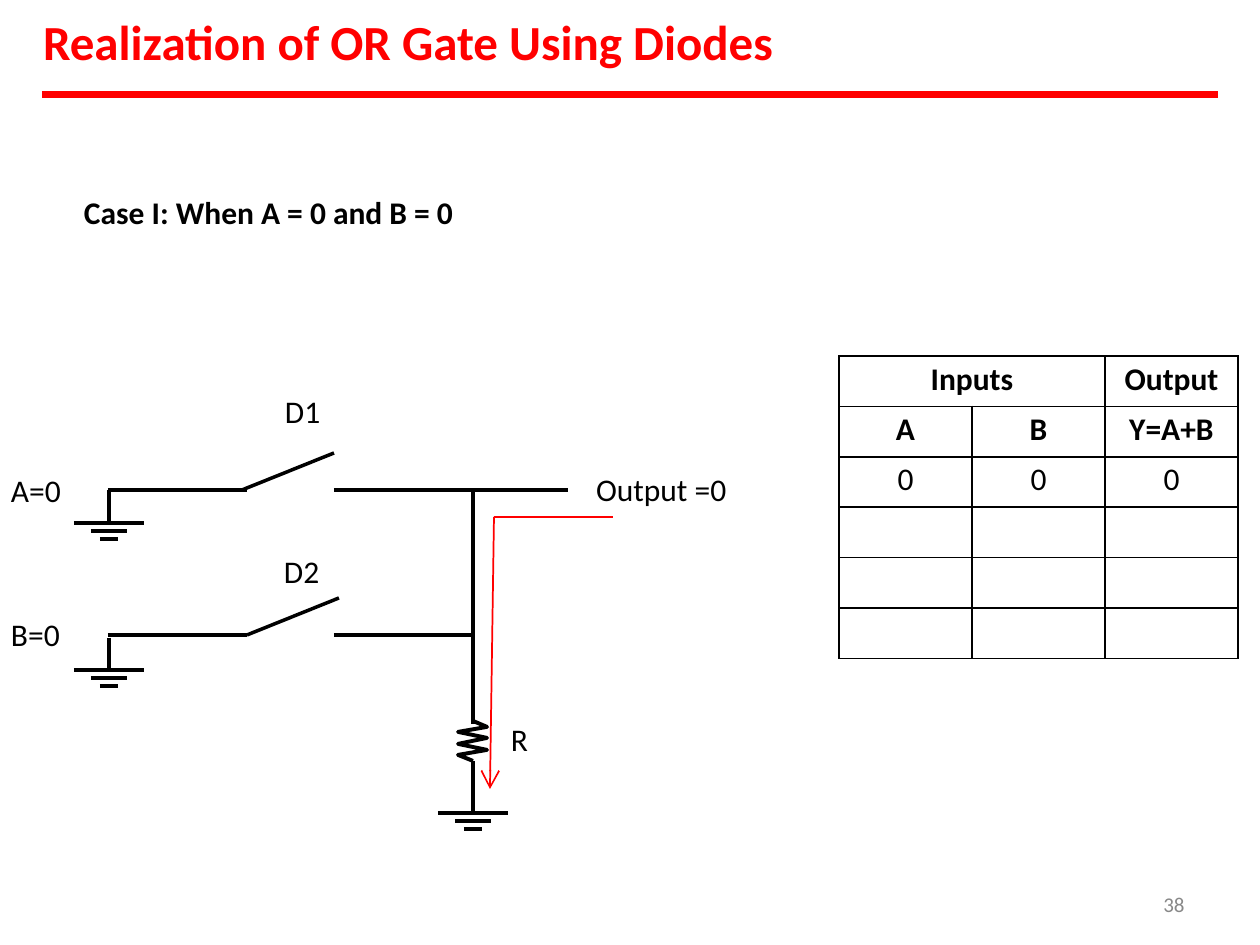
from lxml import etree
from pptx import Presentation
from pptx import util as u
from pptx.dml.color import RGBColor
from pptx.enum import shapes, text
from pptx.oxml.ns import qn

PX = 914400 / 126
BLACK, RED, GREY = "000000", "FF0000", "888888"


def px(n):
    return u.Emu(round(n * PX))


def add_line(x1, y1, x2, y2, width=2.25, color=BLACK):
    c = s.shapes.add_connector(shapes.MSO_CONNECTOR.STRAIGHT, px(x1), px(y1), px(x2), px(y2))
    c.line.width = u.Pt(width)
    c.line.color.rgb = RGBColor.from_string(color)
    etree.SubElement(c._element.spPr, qn("a:effectLst"))
    return c


prs = Presentation()
prs.slide_width, prs.slide_height = px(1260), px(945)
s = prs.slides.add_slide(prs.slide_layouts[5])

# Title, labels and slide number
labels = [
    (s.shapes.title, "Realization of OR Gate Using Diodes", 43, 10, 736, 63, 28, RED, True),
    (None, "Case I: When A = 0 and B = 0", 84, 192, 373, 41, 18, BLACK, True),
    (None, "D1", 285, 391, 39, 41, 18, BLACK, False),
    (None, "D2", 284, 551, 39, 41, 18, BLACK, False),
    (None, "R", 511, 719, 20, 41, 18, BLACK, False),
    (None, "Output =0", 596, 469, 134, 41, 18, BLACK, False),
    (None, "A=0", 11, 470, 53, 41, 18, BLACK, False),
    (None, "B=0", 11, 614, 53, 41, 18, BLACK, False),
    (None, "38", 1160, 891, 28, 24, 12, GREY, False),
]
for sp, words, x, y, w, h, size, color, bold in labels:
    sp = sp or s.shapes.add_textbox(0, 0, 0, 0)
    sp.left, sp.top, sp.width, sp.height = px(x), px(y), px(w), px(h)
    tf = sp.text_frame
    tf.text = words
    tf.word_wrap = False
    tf.auto_size = text.MSO_AUTO_SIZE.NONE
    tf.vertical_anchor = text.MSO_ANCHOR.TOP
    tf.margin_left = tf.margin_right = tf.margin_bottom = 0
    tf.margin_top = px(1)
    p = tf.paragraphs[0]
    p.alignment = text.PP_ALIGN.LEFT
    p.font.name, p.font.size, p.font.bold = "Calibri", u.Pt(size), bold
    p.font.color.rgb = RGBColor.from_string(color)
    if size == 12:
        p.alignment = text.PP_ALIGN.CENTER

add_line(42, 95, 1218, 95, 4, RED)

# Wires of the two inputs, with open switches in place of the diodes
for y, output_x in ((490, 568), (635, 473)):
    add_line(108, y, 247, y)
    add_line(334, y, output_x, y)
add_line(242, 490, 334, 453, 2)
add_line(247, 635, 339, 598, 2)

# Ground symbols: a stem and three shrinking bars
for x, stem_top, bar_top in ((109, 490, 523), (109, 638, 670), (473, 761, 813)):
    add_line(x, stem_top, x, bar_top)
    for i, half in enumerate((35, 18, 9)):
        add_line(x - half, bar_top + 8 * i, x + half, bar_top + 8 * i)

# Resistor
add_line(473, 490, 473, 724)
zigzag = [(487, 727), (458, 732), (487, 738), (458, 744), (487, 750), (458, 755), (473, 761)]
fb = s.shapes.build_freeform(473, 721, scale=PX)
fb.add_line_segments(zigzag, close=False)
sp = fb.convert_to_shape()
sp.shadow.inherit = False
sp.fill.background()
sp.line.width = u.Pt(2.25)
sp.line.color.rgb = RGBColor.from_string(BLACK)

# Output path to ground
add_line(494, 517, 613, 517, 0.75, RED)
arrow = add_line(494, 517, 490, 789, 1, RED)
etree.SubElement(arrow.line._get_or_add_ln(), qn("a:tailEnd"), type="arrow", w="lg", len="lg")

# Truth table
rows = [("Inputs", "", "Output"), ("A", "B", "Y=A+B"), ("0", "0", "0")] + [("", "", "")] * 3
frame = s.shapes.add_table(len(rows), 3, px(839), px(356), px(399), px(302))
table = frame.table
table.first_row = table.horz_banding = False
for column in table.columns:
    column.width = px(133)
for i, row in enumerate(rows):
    table.rows[i].height = px(50.4)
    for j, words in enumerate(row):
        cell = table.cell(i, j)
        cell.margin_left = cell.margin_right = cell.margin_bottom = 0
        cell.margin_top = px(4)
        cell.fill.background()
        p = cell.text_frame.paragraphs[0]
        p.text = words
        p.alignment = text.PP_ALIGN.CENTER
        p.font.name, p.font.size, p.font.bold = "Calibri", u.Pt(18), i < 2
        p.font.color.rgb = RGBColor.from_string(BLACK)
        tcPr = cell._tc.get_or_add_tcPr()
        for k, side in enumerate(("lnL", "lnR", "lnT", "lnB")):
            ln = etree.Element(qn(f"a:{side}"), w=str(u.Pt(1)))
            fill = etree.SubElement(ln, qn("a:solidFill"))
            etree.SubElement(fill, qn("a:srgbClr"), val=BLACK)
            tcPr.insert(k, ln)
table.cell(0, 0).merge(table.cell(0, 1))

prs.save("out.pptx")
